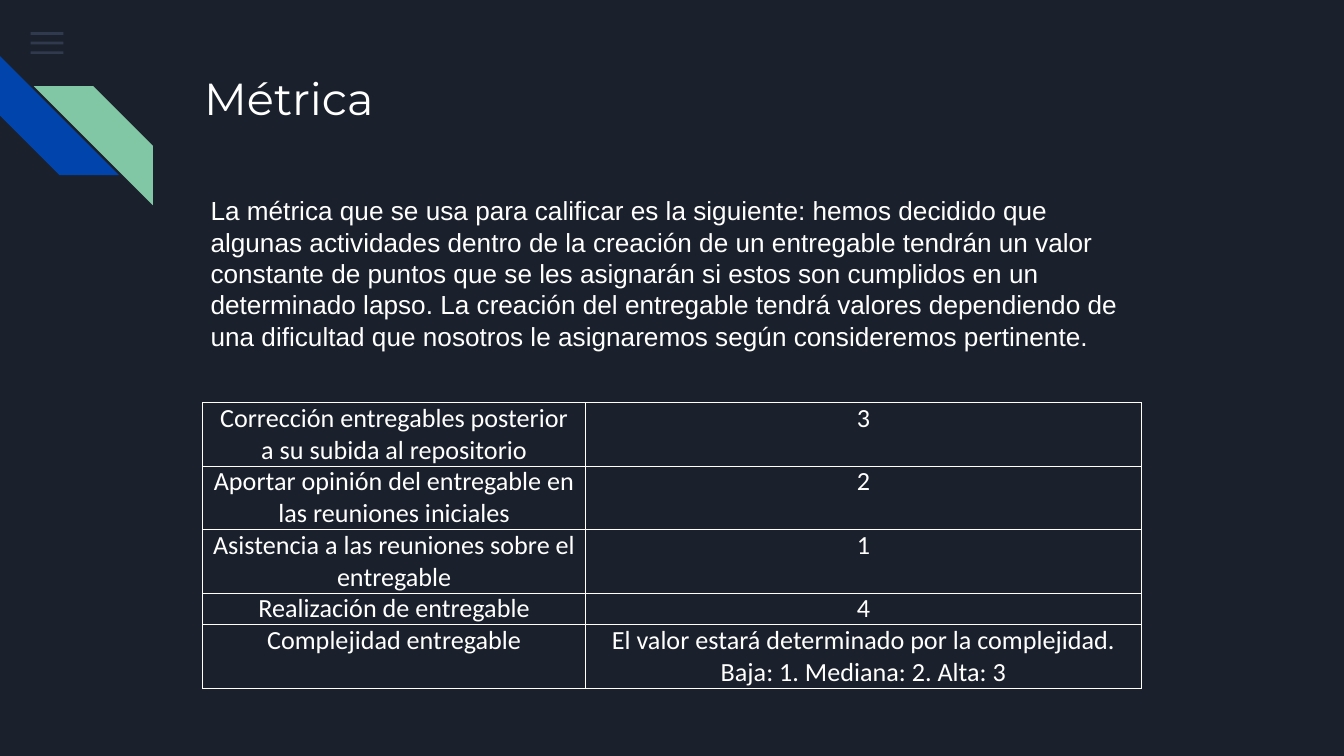
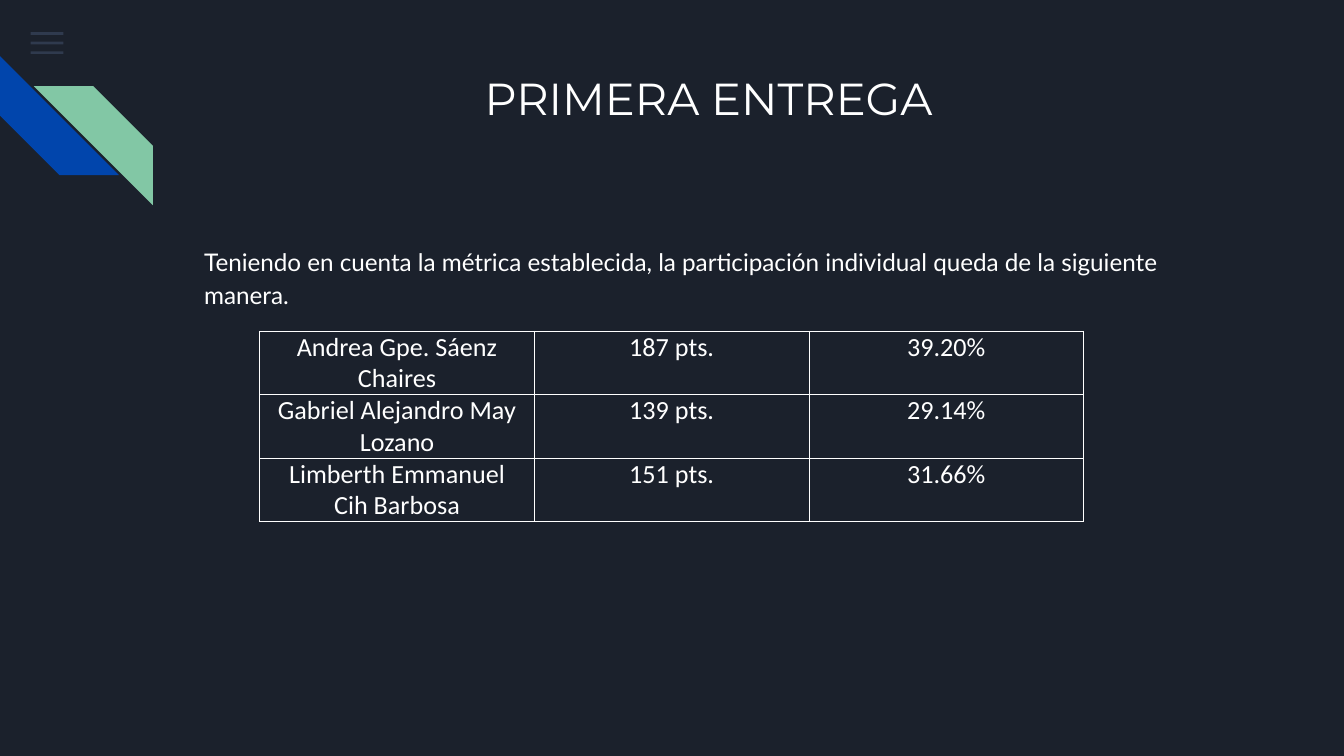
"""Build two dark slides on the grading metric and the first delivery."""
from pptx import Presentation
from pptx.dml.color import RGBColor
from pptx.enum.shapes import MSO_SHAPE
from pptx.enum.text import MSO_ANCHOR, PP_ALIGN
from pptx.oxml import parse_xml
from pptx.oxml.ns import nsdecls
from pptx.util import Cm, Pt

HUES = {"back": "1B212C", "menu": "55688B", "blue": "0145AC", "green": "82C7A5", "text": "FFFFFF"}
FONTS = {
    "title": {"name": "Montserrat", "size": Pt(24)},
    "plain": {"name": "Arial", "size": Pt(14)},
    "body": {"name": "Lato", "size": Pt(13)},
    "cell": {"name": "Calibri", "size": Pt(14)},
}
BOX = {"margin_left": Cm(0.25), "margin_right": Cm(0.25), "margin_top": Cm(0.25),
       "margin_bottom": Cm(0.25), "word_wrap": True, "vertical_anchor": MSO_ANCHOR.TOP}
CELL = {"margin_left": Cm(0.19), "margin_right": Cm(0.19), "margin_top": 0, "margin_bottom": 0}
FLAT = {"first_row": False, "horz_banding": False}
LEFT, MID = PP_ALIGN.LEFT, PP_ALIGN.CENTER

SLIDES = [
    {
        "title": ("Métrica", LEFT),
        "text": (
            "La métrica que se usa para calificar es la siguiente: hemos decidido que algunas "
            "actividades dentro de la creación de un entregable tendrán un valor constante de "
            "puntos que se les asignarán si estos son cumplidos en un determinado lapso. La "
            "creación del entregable tendrá valores dependiendo de una dificultad que nosotros "
            "le asignaremos según consideremos pertinente."
        ),
        "style": ("plain", 1.0),
        "box": (3.73, 3.43, 17.91, 3.28),
        "spot": (3.83, 7.61),
        "cols": (7.24, 10.5),
        "high": (1.2, 1.2, 1.2, 0.6, 1.2),
        "rows": [
            ("Corrección entregables posterior a su subida al repositorio", "3"),
            ("Aportar opinión del entregable en las reuniones iniciales", "2"),
            ("Asistencia a las reuniones sobre el entregable", "1"),
            ("Realización de entregable", "4"),
            ("Complejidad entregable",
             "El valor estará determinado por la complejidad.\nBaja: 1. Mediana: 2. Alta: 3"),
        ],
    },
    {
        "title": ("PRIMERA ENTREGA", MID),
        "text": (
            "Teniendo en cuenta la métrica establecida, la participación individual queda de la "
            "siguiente manera."
        ),
        "style": ("body", 1.15),
        "box": (3.61, 4.34, 19.56, 8.08),
        "spot": (4.91, 6.26),
        "cols": (5.19,) * 3,
        "high": (1.2,) * 3,
        "rows": [
            ("Andrea Gpe. Sáenz Chaires", "187 pts.", "39.20%"),
            ("Gabriel Alejandro May Lozano", "139 pts.", "29.14%"),
            ("Limberth Emmanuel Cih Barbosa", "151 pts.", "31.66%"),
        ],
    },
]


def write(frame, text, font, align, space=1.0):
    frame.text = text
    for para in frame.paragraphs:
        para.alignment = align
        para.line_spacing = space
        for key, value in FONTS[font].items():
            setattr(para.font, key, value)
        para.font.color.rgb = RGBColor.from_string(HUES["text"])


def draw(slide, kind, place, hue):
    shape = slide.shapes.add_shape(kind, *map(Cm, place))
    shape.shadow.inherit = False
    shape.fill.solid()
    shape.fill.fore_color.rgb = RGBColor.from_string(HUES[hue])
    shape.line.fill.background()
    return shape


deck = Presentation()
deck.slide_width, deck.slide_height = Cm(25.4), Cm(14.29)
fill = deck.slide_master.background.fill
fill.solid()
fill.fore_color.rgb = RGBColor.from_string(HUES["back"])

for page in SLIDES:
    slide = deck.slides.add_slide(deck.slide_layouts[6])

    for i in range(3):
        bar = draw(slide, MSO_SHAPE.RECTANGLE, (0.58, 0.61 + 0.18 * i, 0.62, 0.05), "menu")
        tint = bar.fill.fore_color._xFill.find(".//{*}srgbClr")
        tint.append(parse_xml(f'<a:alpha {nsdecls("a")} val="36000"/>'))

    blue = draw(slide, MSO_SHAPE.DIAGONAL_STRIPE, (0, 1.06, 2.25, 2.25), "blue")
    blue.rotation = 270
    green = draw(slide, MSO_SHAPE.DIAGONAL_STRIPE, (0.64, 1.63, 2.25, 2.25), "green")
    green.element.spPr.xfrm.set("flipH", "1")

    title, align = page["title"]
    font, space = page["style"]
    for place, *words in [
        ((3.61, 1.09, 19.56, 2.54), title, "title", align),
        (page["box"], page["text"], font, LEFT, space),
    ]:
        frame = slide.shapes.add_textbox(*map(Cm, place)).text_frame
        for key, value in BOX.items():
            setattr(frame, key, value)
        write(frame, *words)

    rows, cols, high = page["rows"], page["cols"], page["high"]
    size = (*page["spot"], sum(cols), sum(high))
    table = slide.shapes.add_table(len(rows), len(cols), *map(Cm, size)).table
    for key, value in FLAT.items():
        setattr(table, key, value)
    for col, width in zip(table.columns, cols):
        col.width = Cm(width)
    for row, tall, words in zip(table.rows, high, rows):
        row.height = Cm(tall)
        for cell, text in zip(row.cells, words):
            for key, value in CELL.items():
                setattr(cell, key, value)
            write(cell.text_frame, text, "cell", MID)
            props = cell._tc.get_or_add_tcPr()
            for side in "LRTB":
                props.append(parse_xml(
                    f'<a:ln{side} {nsdecls("a")} w="{Pt(0.5)}"><a:solidFill>'
                    f'<a:srgbClr val="{HUES["text"]}"/></a:solidFill></a:ln{side}>'))
            cell.fill.background()

deck.save("out.pptx")
